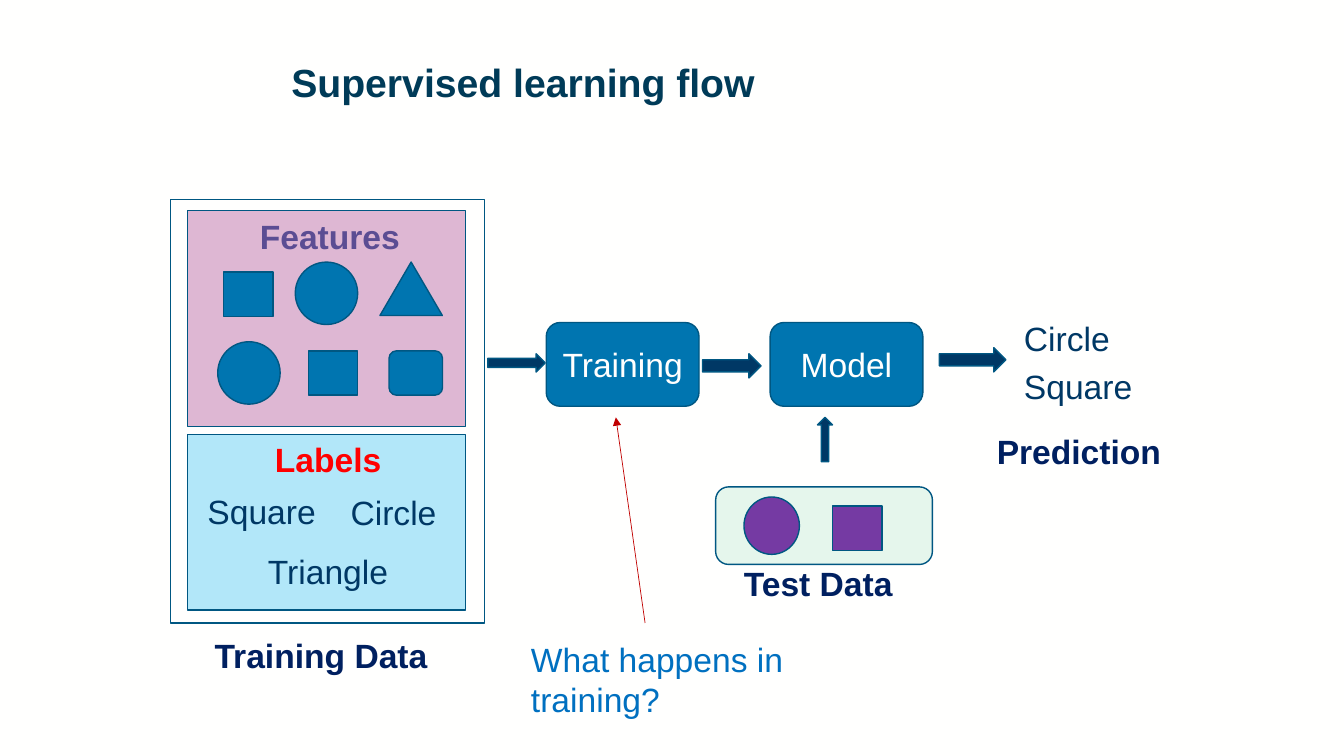
import pptx
import pptx.dml.color
import pptx.enum.shapes
import pptx.enum.text
import pptx.oxml
import pptx.oxml.ns
import pptx.util

COLORS = {
    "paper": "FFFFFE", "title": "003B58", "outline": "005782", "blue": "0075B0",
    "navy": "003865", "caption": "002060", "plum": "951271", "sky": "00B0F0",
    "green": "00B050", "purple": "7030A0", "features": "5B4D93", "labels": "FF0000",
    "question": "0070C0", "pointer": "C00000",
}
KIND = pptx.enum.shapes.MSO_SHAPE
ALIGN = pptx.enum.text.PP_ALIGN
ANCHOR = pptx.enum.text.MSO_ANCHOR
Pt = pptx.util.Pt


def color(name):
    """Return the named colour."""
    return pptx.dml.color.RGBColor.from_string(COLORS[name])


def place(origin, offset, size):
    """Return left, top, width and height for a part offset from an origin."""
    return [Pt(round(value, 2)) for value in
            (origin[0] + offset[0], origin[1] + offset[1], *size)]


def write(frame, text, ink, bold=False, size=24):
    """Put one formatted paragraph in a text frame."""
    frame.word_wrap = True
    para = frame.paragraphs[0]
    para.text = text
    font = para.runs[0].font
    font.name, font.size, font.bold = "Arial", Pt(size), bold
    font.color.rgb = color(ink)
    return para


def add_shape(page, kind, origin, offset, size, fill=None, opacity=100):
    """Draw an outlined preset shape."""
    shape = page.shapes.add_shape(kind, *place(origin, offset, size))
    shape.shadow.inherit = False
    shape.line.color.rgb = color("outline")
    shape.line.width = Pt(1)
    if fill is None:
        shape.fill.background()
        return shape
    shape.fill.solid()
    shape.fill.fore_color.rgb = color(fill)
    if opacity < 100:
        tint = shape.fill._xPr.find(".//" + pptx.oxml.ns.qn("a:srgbClr"))
        alpha = pptx.oxml.parse_xml(f"<a:alpha {pptx.oxml.ns.nsdecls('a')}/>")
        alpha.set("val", str(opacity * 1000))
        tint.append(alpha)
    return shape


def add_text(page, origin, offset, width, text, ink, bold=False, height=36):
    """Add a text box."""
    box = page.shapes.add_textbox(*place(origin, offset, (width, height)))
    write(box.text_frame, text, ink, bold)
    box.text_frame.auto_size = pptx.enum.text.MSO_AUTO_SIZE.SHAPE_TO_FIT_TEXT


def add_title(page, left, top, width, height):
    """Format the title placeholder."""
    title = page.shapes.title
    title.left, title.top, title.width, title.height = place((left, top), (0, 0), (width, height))
    title.text_frame.vertical_anchor = ANCHOR.TOP
    para = write(title.text_frame, "Supervised learning flow", "title", True, 28)
    para.alignment = ALIGN.LEFT
    para.line_spacing = 0.9


def add_features(page, left, top, width, height):
    """Draw the panel of sample shapes."""
    origin = (left, top)
    add_shape(page, KIND.RECTANGLE, origin, (0, 0), (width, height), "plum", 30)
    add_text(page, origin, (44.6, 0), 118.8, "Features", "features", True)
    square, circle = (35.3, 31.7), (44.6, 44.6)
    for kind, offset, size in (
        (KIND.RECTANGLE, (25.9, 43.9), square),
        (KIND.RECTANGLE, (86.4, 100.1), square),
        (KIND.OVAL, (21.6, 93.6), circle),
        (KIND.OVAL, (77, 36.7), circle),
        (KIND.ISOSCELES_TRIANGLE, (137.5, 36.7), (44.6, 38.2)),
        (KIND.ROUNDED_RECTANGLE, (144, 100.1), (38.2, 31.7)),
    ):
        add_shape(page, kind, origin, offset, size, "blue")


def add_labels(page, left, top, width, height):
    """Draw the panel of label words."""
    origin = (left, top)
    add_shape(page, KIND.RECTANGLE, origin, (0, 0), (width, height), "sky", 30)
    add_text(page, origin, (55.4, -0.7), 95, "Labels", "labels", True)
    for text, offset, span in (("Square", (7.2, 36.7), 102.2),
                               ("Circle", (109.4, 37.4), 82.8),
                               ("Triangle", (50.4, 79.9), 102.2)):
        add_text(page, origin, offset, span, text, "navy")


def add_training_data(page, left, top, width, height):
    """Draw the training data frame with its two panels and caption."""
    add_shape(page, KIND.RECTANGLE, (left, top), (0, 0), (width, height))
    inner = width - 26
    add_features(page, left + 12.2, top + 7.9, inner, 154.1)
    add_labels(page, left + 12.2, top + 167.8, inner, 125.3)
    add_text(page, (left, top), (24.5, height + 5), 169.9, "Training Data", "caption", True)


def add_flow(page, left, top, width, height):
    """Draw the training and model steps and the block arrows around them."""
    origin = (left, top)
    for text, offset in (("Training", 0), ("Model", 159.9)):
        step = add_shape(page, KIND.ROUNDED_RECTANGLE, origin, (offset, 0), (width, height), "blue")
        step.text_frame.vertical_anchor = ANCHOR.MIDDLE
        write(step.text_frame, text, "paper").alignment = ALIGN.CENTER
    for kind, offset, size in (
        (KIND.RIGHT_ARROW, (-41.7, 22.3), (41, 13)),
        (KIND.RIGHT_ARROW, (111.6, 22.3), (41.8, 17.3)),
        (KIND.RIGHT_ARROW, (280.8, 18), (47.5, 17.3)),
        (KIND.UP_ARROW, (193.7, 67.7), (10.8, 31.7)),
    ):
        add_shape(page, kind, origin, offset, size, "navy")


def add_test_data(page, left, top, width, height):
    """Draw the test data box and its caption."""
    origin = (left, top)
    add_shape(page, KIND.ROUNDED_RECTANGLE, origin, (0, 0), (width, height), "green", 10)
    add_shape(page, KIND.OVAL, origin, (20.2, 7.2), (39.6, 41), "purple", 95)
    add_shape(page, KIND.RECTANGLE, origin, (83.5, 13.7), (35.3, 31.7), "purple", 95)
    add_text(page, origin, (13, height - 4.3), 140.4, "Test Data", "caption", True)


def add_prediction(page, left, top, width):
    """Write the predicted labels and their caption."""
    origin = (left, top)
    add_text(page, origin, (19.4, 0), 90, "Circle", "navy")
    add_text(page, origin, (19.4, 34.6), 101.5, "Square", "navy")
    add_text(page, origin, (0, 81.4), width, "Prediction", "caption", True)


def add_question(page, left, top, width, height):
    """Write the question and point it at the training step."""
    add_text(page, (left, top), (0, 0), width, "What happens in training?", "question", height=height)
    pointer = page.shapes.add_connector(
        pptx.enum.shapes.MSO_CONNECTOR.STRAIGHT,
        Pt(left + 88.6), Pt(top - 7.9), Pt(left + 67.7), Pt(top - 154.8))
    pointer.line.color.rgb = color("pointer")
    pointer.line.width = Pt(0.5)
    namespace = pptx.oxml.ns.nsdecls("a")
    pointer.line._get_or_add_ln().append(
        pptx.oxml.parse_xml(f'<a:tailEnd {namespace} type="triangle"/>'))
    pointer._element.spPr.append(pptx.oxml.parse_xml(f"<a:effectLst {namespace}/>"))


def main():
    """Build and save the deck."""
    deck = pptx.Presentation()
    deck.slide_width, deck.slide_height = Pt(960), Pt(540)
    page = deck.slides.add_slide(deck.slide_layouts[5])
    page.background.fill.solid()
    page.background.fill.fore_color.rgb = color("paper")
    add_title(page, 200.9, 41.8, 725, 69.8)
    add_training_data(page, 121.7, 142.6, 224.6, 302.4)
    add_flow(page, 390.2, 230.4, 109.1, 59.8)
    add_test_data(page, 511.2, 347.8, 154.8, 55.4)
    add_prediction(page, 704.9, 223.2, 133.2)
    add_question(page, 372.2, 452.9, 224.6, 65.5)
    deck.save("out.pptx")


if __name__ == "__main__":
    main()
